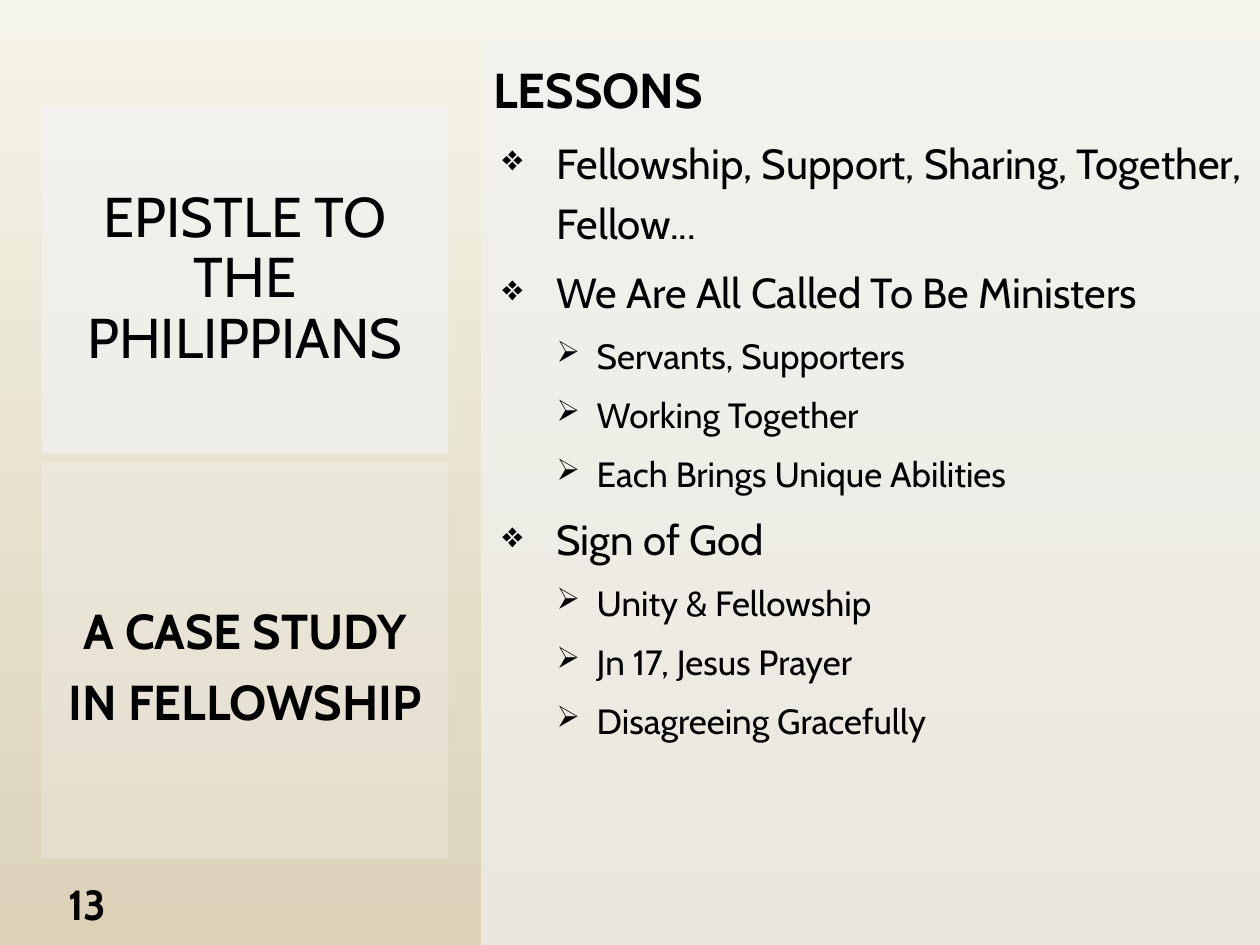
from lxml import etree
from pptx import Presentation
from pptx.dml.color import RGBColor
from pptx.enum.shapes import MSO_SHAPE
from pptx.enum.text import MSO_ANCHOR, PP_ALIGN
from pptx.oxml.ns import qn
from pptx.util import Cm, Pt

RECTANGLE = MSO_SHAPE.RECTANGLE
TOP, MIDDLE = MSO_ANCHOR.TOP, MSO_ANCHOR.MIDDLE
LEFT, CENTER, RIGHT = PP_ALIGN.LEFT, PP_ALIGN.CENTER, PP_ALIGN.RIGHT

BLACK = RGBColor(0x00, 0x00, 0x00)
PANEL = RGBColor(0xF2, 0xF2, 0xF2)
CREAM = RGBColor(0xF5, 0xF4, 0xE8)
SAND = RGBColor(0xDB, 0xD2, 0xB8)
FONT = "Cabin"

LEVELS = {
    1: {"mark": "❖", "margin": Cm(1.27), "hanging": Cm(1.09), "size": 24},
    2: {"mark": "➢", "margin": Cm(2.08), "hanging": Cm(0.81), "size": 20},
}
LESSONS = [
    (1, "Fellowship, Support, Sharing, Together, Fellow..."),
    (1, "We Are All Called To Be Ministers"),
    (2, "Servants, Supporters"),
    (2, "Working Together"),
    (2, "Each Brings Unique Abilities"),
    (1, "Sign of God"),
    (2, "Unity & Fellowship"),
    (2, "Jn 17, Jesus Prayer"),
    (2, "Disagreeing Gracefully"),
]


def paint_background(slide):
    fill = slide.background.fill
    fill.gradient()
    fill.gradient_angle = 270
    for stop, color in zip(fill.gradient_stops, (CREAM, SAND)):
        stop.color.rgb = color


def add_panel(slide, left, top, width, height, opacity, anchor):
    panel = slide.shapes.add_shape(RECTANGLE, left, top, width, height)
    panel.shadow.inherit = False
    panel.line.fill.background()
    panel.fill.solid()
    panel.fill.fore_color.rgb = PANEL
    color = panel.fill._xPr.find(qn("a:solidFill")).find(qn("a:srgbClr"))
    etree.SubElement(color, qn("a:alpha"), val=str(opacity * 1000))
    panel.text_frame.word_wrap = True
    panel.text_frame.vertical_anchor = anchor
    return panel.text_frame


def write(paragraph, text, size, bold=False, align=LEFT, spacing=1.2):
    paragraph.text = text
    paragraph.alignment = align
    paragraph.line_spacing = spacing
    font = paragraph.runs[0].font
    font.name = FONT
    font.size = Pt(size)
    font.bold = bold
    font.color.rgb = BLACK


def add_bullet(frame, level, text):
    style = LEVELS[level]
    paragraph = frame.add_paragraph()
    paragraph.level = level
    properties = paragraph._p.get_or_add_pPr()
    properties.set("marL", str(style["margin"]))
    properties.set("indent", str(-style["hanging"]))
    bullet_color = etree.SubElement(properties, qn("a:buClr"))
    etree.SubElement(bullet_color, qn("a:srgbClr"), val=str(BLACK))
    etree.SubElement(properties, qn("a:buSzPct"), val="85000")
    etree.SubElement(properties, qn("a:buChar"), char=style["mark"])
    paragraph.space_before = Pt(5)
    write(paragraph, text, style["size"])


def add_page_number(slide, number):
    box = slide.shapes.add_textbox(Cm(0.79), Cm(17.7), Cm(1.6), Cm(1.02))
    frame = box.text_frame
    frame.word_wrap = True
    frame.vertical_anchor = MIDDLE
    write(frame.paragraphs[0], number, 24, bold=True, align=RIGHT, spacing=1.0)


def main():
    presentation = Presentation()
    presentation.slide_width = Cm(25.4)
    presentation.slide_height = Cm(19.05)
    slide = presentation.slides.add_slide(presentation.slide_layouts[6])
    paint_background(slide)

    title = add_panel(slide, Cm(0.84), Cm(2.13), Cm(8.2), Cm(7.01), 68, MIDDLE)
    write(title.paragraphs[0], "EPISTLE TO THE PHILIPPIANS", 32,
          align=CENTER, spacing=0.9)

    lessons = add_panel(slide, Cm(9.7), Cm(0.84), Cm(15.7), Cm(18.21), 66, TOP)
    write(lessons.paragraphs[0], "LESSONS", 28, bold=True)
    for level, text in LESSONS:
        add_bullet(lessons, level, text)

    subtitle = add_panel(slide, Cm(0.84), Cm(9.3), Cm(8.2), Cm(8), 34, MIDDLE)
    write(subtitle.paragraphs[0], "A CASE STUDY IN FELLOWSHIP", 28,
          bold=True, align=CENTER)

    add_page_number(slide, "13")
    presentation.save("out.pptx")


if __name__ == "__main__":
    main()
